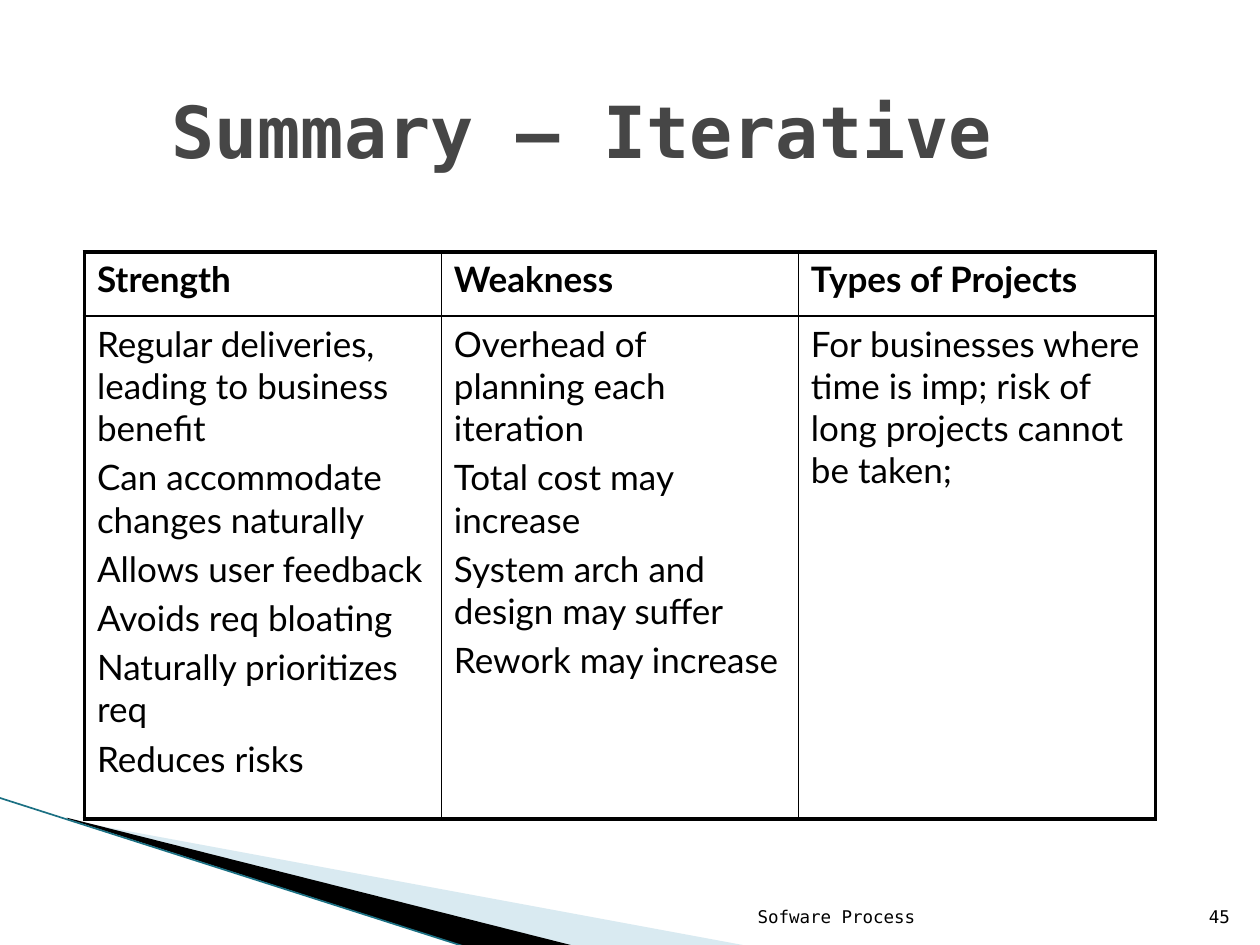
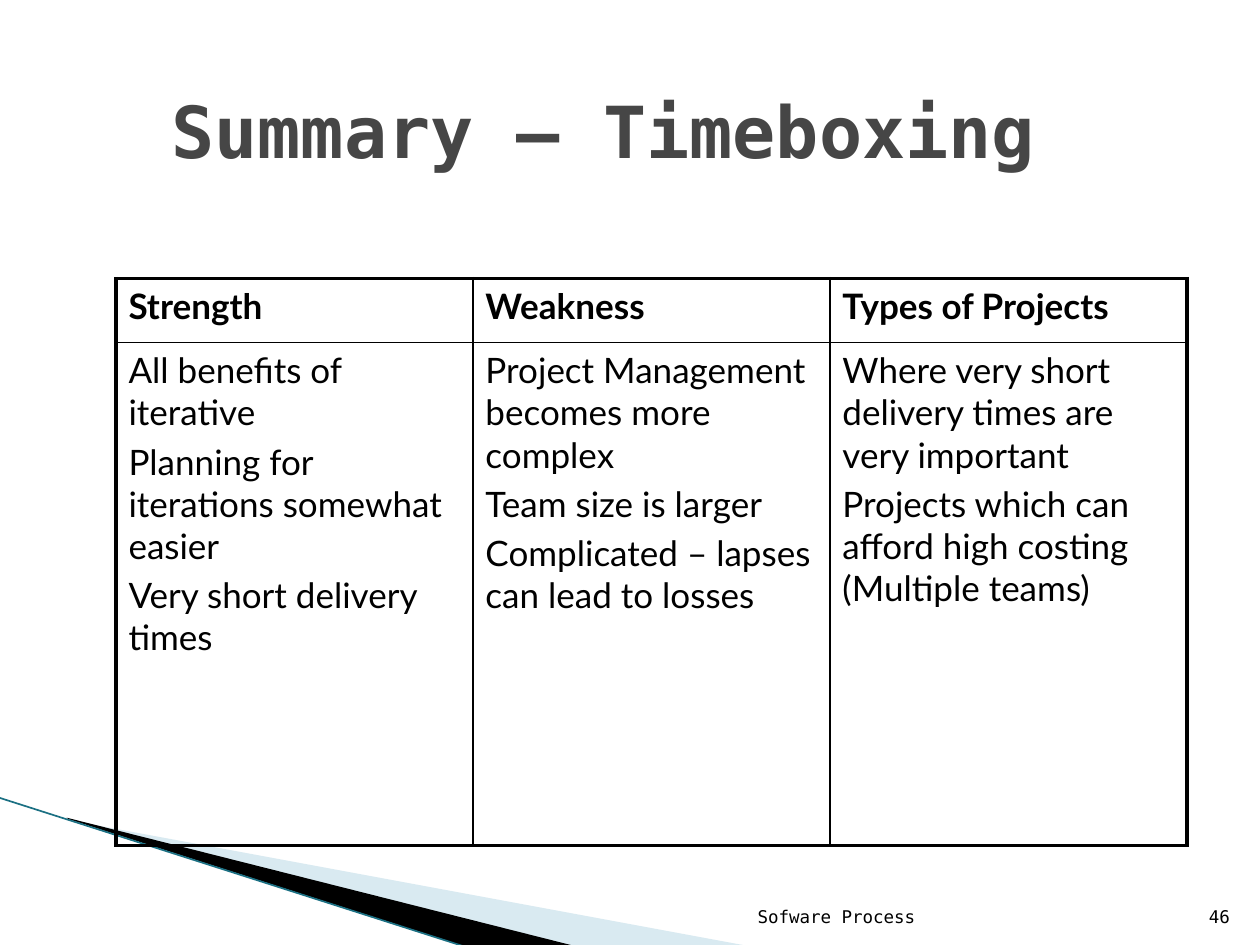
"""Build two summary slides comparing process models."""
import pptx
import pptx.dml.color
import pptx.enum.shapes
import pptx.enum.text
import pptx.oxml.ns
import pptx.util
from lxml import etree

Inches, Pt = pptx.util.Inches, pptx.util.Pt
ALIGN, ANCHOR = pptx.enum.text.PP_ALIGN, pptx.enum.text.MSO_ANCHOR
qn = pptx.oxml.ns.qn

COLORS = {"ink": "000000", "title": "464646", "pale": "A0CBDC", "edge": "1B7083"}
MONO, SANS = "DejaVu Sans Mono", "Lato"
THICK, THIN = 2.25, 1
TITLE_BOX = (1.26, 0.23, 8.52, 1.6)
FOOTER_BOX = (4.79, 7.01, 2.57, 0.4)
NUMBER_BOX = (9.46, 7.01, 0.4, 0.4)
PALE_BOX = (0.78, 5.47, 4.16, 1.58)
DARK_BOX = (-0.06, 6.33, 4.16, 0.92)
TABLE_SIZE = (8.5, 4.5)
HEADER_HEIGHT = 0.51
HEADINGS = ["Strength", "Weakness", "Types of Projects"]

PAGES = [
    {"title": "Summary – Iterative", "number": "45", "table_at": (0.67, 2),
     "columns": [
         ["Regular deliveries, leading to business benefit",
          "Can accommodate changes naturally", "Allows user feedback",
          "Avoids req bloating", "Naturally prioritizes req", "Reduces risks"],
         ["Overhead of planning each iteration", "Total cost may increase",
          "System arch and design may suffer", "Rework may increase"],
         ["For businesses where time is imp; risk of long projects cannot be taken;"]]},
    {"title": "Summary – Timeboxing", "number": "46", "table_at": (0.92, 2.21),
     "columns": [
         ["All benefits of iterative", "Planning for iterations somewhat easier",
          "Very short delivery times"],
         ["Project Management becomes more complex", "Team size is larger",
          "Complicated – lapses can lead to losses"],
         ["Where very short delivery times are very important",
          "Projects which can afford high costing (Multiple teams)"]]},
]


def color(name):
    """Return a palette colour."""
    return pptx.dml.color.RGBColor.from_string(COLORS[name])


def add_span(para, text, font, size, ink="ink", bold=False):
    """Add one formatted run to a paragraph."""
    span = para.add_run()
    span.text = text
    span.font.name, span.font.size, span.font.bold = font, Pt(size), bold
    span.font.color.rgb = color(ink)


def set_frame(shape, box):
    """Give a freeform a frame of its own, leaving its outline in place."""
    left, top, width, height = map(Inches, box)
    shift_x, shift_y = shape.left - left, shape.top - top
    outline = shape.element.spPr.find(".//" + qn("a:path"))
    outline.set("w", str(width))
    outline.set("h", str(height))
    for point in outline.iter(qn("a:pt")):
        point.set("x", str(int(point.get("x")) + shift_x))
        point.set("y", str(int(point.get("y")) + shift_y))
    shape.left, shape.top, shape.width, shape.height = left, top, width, height


def add_wedge(page, box, points, fill, opacity=100):
    """Draw a filled outline, without a line, that reaches beyond its box."""
    corners = [(Inches(x), Inches(y)) for x, y in points]
    builder = page.shapes.build_freeform(*corners[0])
    builder.add_line_segments(corners[1:], close=True)
    wedge = builder.convert_to_shape()
    set_frame(wedge, box)
    wedge.shadow.inherit = False
    wedge.fill.solid()
    wedge.fill.fore_color.rgb = color(fill)
    wedge.line.fill.background()
    if opacity < 100:
        tint = wedge.element.spPr.find(".//" + qn("a:srgbClr"))
        etree.SubElement(tint, qn("a:alpha"), val=str(opacity * 1000))


def add_corner(page):
    """Draw the swoosh in the lower left corner."""
    add_wedge(page, PALE_BOX,
              [(0.55, 6.51), (5.95, 7.51), (4.56, 7.51), (0.55, 6.5)], "pale", 40)
    add_wedge(page, DARK_BOX,
              [(0.53, 6.49), (4.57, 7.51), (3.72, 7.52), (0.54, 6.5)], "ink")
    edge = page.shapes.add_connector(
        pptx.enum.shapes.MSO_CONNECTOR.STRAIGHT,
        Inches(-0.01), Inches(6.33), Inches(3.71), Inches(7.52))
    edge.line.color.rgb = color("edge")
    edge.line.width = Pt(0.95)
    etree.SubElement(edge.element.spPr, qn("a:effectLst"))


def add_title(page, box, text):
    """Place the title placeholder in its box."""
    title = page.shapes.title
    title.left, title.top, title.width, title.height = map(Inches, box)
    title.text_frame.vertical_anchor = ANCHOR.MIDDLE
    para = title.text_frame.paragraphs[0]
    para.alignment = ALIGN.LEFT
    add_span(para, text, MONO, 41, "title", bold=True)


def add_footer(page, box, text):
    """Write a small right-aligned note at the foot of the page."""
    frame = page.shapes.add_textbox(*map(Inches, box)).text_frame
    frame.word_wrap = True
    frame.vertical_anchor = ANCHOR.BOTTOM
    frame.paragraphs[0].alignment = ALIGN.RIGHT
    add_span(frame.paragraphs[0], text, MONO, 10)


def set_borders(cell, widths):
    """Give a cell its left, right, top and bottom lines, in points."""
    properties = cell._tc.get_or_add_tcPr()
    for side, width in zip("LRTB", widths):
        line = etree.SubElement(properties, qn("a:ln" + side), w=str(Pt(width)))
        fill = etree.SubElement(line, qn("a:solidFill"))
        etree.SubElement(fill, qn("a:srgbClr"), val=COLORS["ink"])


def fill_cell(cell, lines, bold):
    """Write one paragraph for each line into a clear cell."""
    cell.fill.background()
    frame = cell.text_frame
    for index, text in enumerate(lines):
        para = frame.add_paragraph() if index else frame.paragraphs[0]
        para.space_before = Pt(4)
        add_span(para, text, SANS, 20, bold=bold)


def add_summary(page, box, columns):
    """Draw the table: one heading row above one row of points."""
    grid = page.shapes.add_table(2, len(columns), *map(Inches, box)).table
    grid.first_row = grid.horz_banding = False
    grid.rows[0].height = Inches(HEADER_HEIGHT)
    grid.rows[1].height = Inches(box[3] - HEADER_HEIGHT)
    last = len(columns) - 1
    for number, (heading, points) in enumerate(zip(HEADINGS, columns)):
        grid.columns[number].width = Inches(box[2] / len(columns))
        left = THICK if number == 0 else THIN
        right = THICK if number == last else THIN
        for row, lines in enumerate([[heading], points]):
            cell = grid.cell(row, number)
            set_borders(cell, (left, right, THIN if row else THICK,
                               THICK if row else THIN))
            fill_cell(cell, lines, bold=row == 0)


def add_page(deck, content):
    """Build one summary slide."""
    page = deck.slides.add_slide(deck.slide_layouts[5])
    add_corner(page)
    add_footer(page, FOOTER_BOX, "Sofware Process")
    add_footer(page, NUMBER_BOX, content["number"])
    add_title(page, TITLE_BOX, content["title"])
    add_summary(page, content["table_at"] + TABLE_SIZE, content["columns"])


deck = pptx.Presentation()
deck.slide_width, deck.slide_height = Inches(10), Inches(7.5)
for content in PAGES:
    add_page(deck, content)
deck.save("out.pptx")
